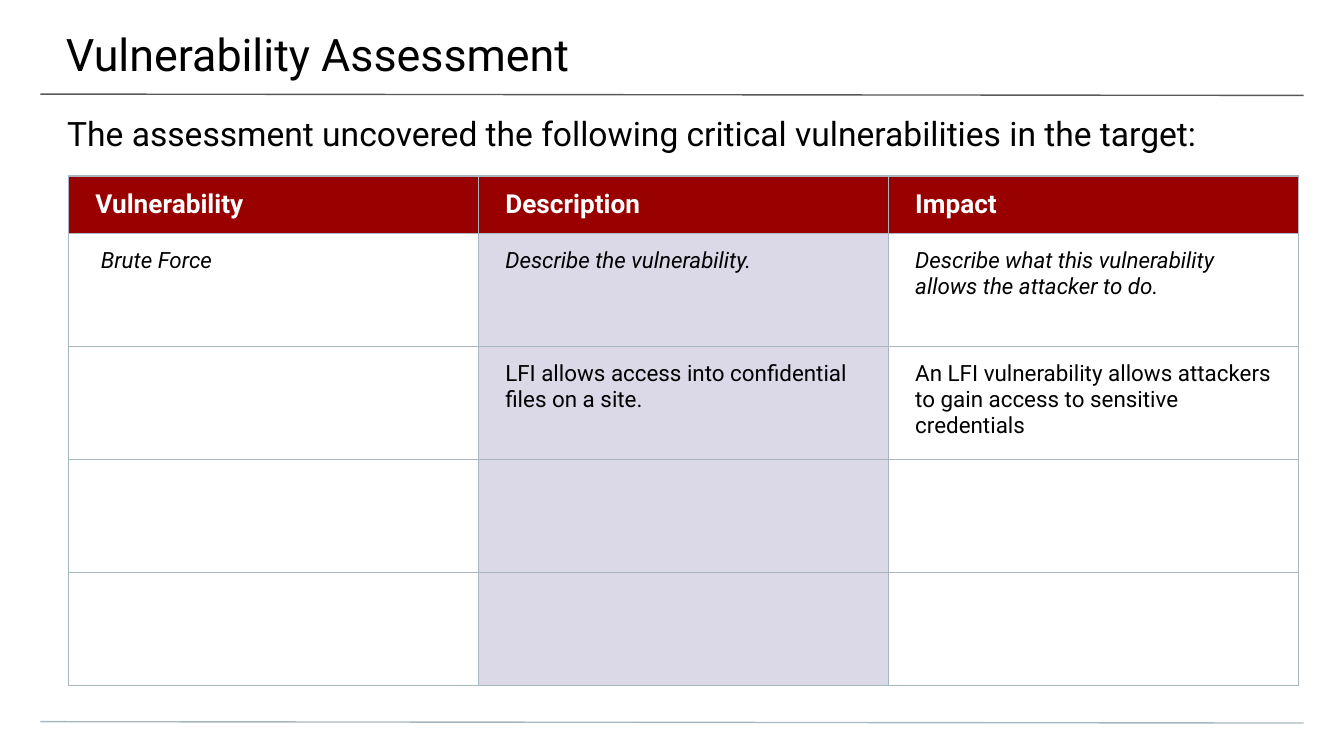
import lxml.etree
import pptx
import pptx.dml.color
import pptx.enum.shapes
import pptx.enum.text
import pptx.oxml.ns
import pptx.util
from dataclasses import dataclass


@dataclass(frozen=True)
class Theme:
    font: str = "Roboto"
    text: str = "000000"
    header_text: str = "FFFFFF"
    header_fill: str = "990000"
    column_fill: str = "DBD9E8"
    rule: str = "595959"
    border: str = "A9B7C0"
    line_width: float = 0.75
    title_size: int = 24
    subtitle_size: int = 18
    header_size: int = 14
    cell_size: int = 12


THEME = Theme()
RGB = pptx.dml.color.RGBColor.from_string
Inches, Pt, qn = pptx.util.Inches, pptx.util.Pt, pptx.oxml.ns.qn
ANCHOR = pptx.enum.text.MSO_ANCHOR


def write(tf, text, size, color=THEME.text, bold=False, italic=False):
    tf.text = text
    p = tf.paragraphs[0]
    p.alignment = pptx.enum.text.PP_ALIGN.LEFT
    p.space_before = Pt(0)
    for r in p.runs:
        r.font.name, r.font.size = THEME.font, Pt(size)
        r.font.bold, r.font.italic = bold, italic
        r.font.color.rgb = RGB(color)


def add_borders(cell):
    tc_pr = cell._tc.get_or_add_tcPr()
    for side in ("a:lnL", "a:lnR", "a:lnT", "a:lnB"):
        ln = lxml.etree.SubElement(tc_pr, qn(side), w=str(Pt(THEME.line_width)))
        fill = lxml.etree.SubElement(ln, qn("a:solidFill"))
        lxml.etree.SubElement(fill, qn("a:srgbClr"), val=THEME.border)


prs = pptx.Presentation()
prs.slide_width = Inches(10)
prs.slide_height = prs.slide_width * 9 // 16
s = prs.slides.add_slide(prs.slide_layouts[0])

# Rules under the title and at the foot
for y, color in ((0.7, THEME.rule), (5.37, THEME.border)):
    rule = s.shapes.add_connector(
        pptx.enum.shapes.MSO_CONNECTOR.STRAIGHT,
        Inches(0.3), Inches(y), Inches(9.7), Inches(y + 0.01))
    rule.line.color.rgb = RGB(color)
    rule.line.width = Pt(THEME.line_width)
    lxml.etree.SubElement(rule._element.spPr, qn("a:effectLst"))

# Title and subtitle: placeholder, box, insets, size, text
headings = (
    (s.shapes.title, (-0.01, 0, 10.03, 0.58), (0.5, 0.2, 0.3, 0.1),
     THEME.title_size, "Vulnerability Assessment"),
    (s.placeholders[1], (0, 0.74, 10, 0.4), (0.5, 0.1, 0.5, 0),
     THEME.subtitle_size,
     "The assessment uncovered the following critical vulnerabilities in the target:"),
)
for sp, box, insets, size, text in headings:
    sp.left, sp.top, sp.width, sp.height = map(Inches, box)
    tf = sp.text_frame
    tf.margin_left, tf.margin_top, tf.margin_right, tf.margin_bottom = map(Inches, insets)
    tf.auto_size = pptx.enum.text.MSO_AUTO_SIZE.NONE
    tf.vertical_anchor = ANCHOR.TOP
    tf.word_wrap = True
    write(tf, text, size)

# Vulnerability table
rows = (
    ("Vulnerability", "Description", "Impact"),
    (" Brute Force", "Describe the vulnerability.",
     "Describe what this vulnerability allows the attacker to do."),
    ("", "LFI allows access into confidential files on a site.",
     "An LFI vulnerability allows attackers to gain access to sensitive credentials"),
    ("", "", ""),
    ("", "", ""),
)
col_width, header_height, row_height = 3.05, 0.43, 0.84
table = s.shapes.add_table(
    len(rows), 3, Inches(0.51), Inches(1.31), Inches(3 * col_width),
    Inches(header_height + 4 * row_height)).table
table.first_row = table.horz_banding = False
for column in table.columns:
    column.width = Inches(col_width)

for i, texts in enumerate(rows):
    header = i == 0
    table.rows[i].height = Inches(header_height if header else row_height)
    for j, text in enumerate(texts):
        cell = table.cell(i, j)
        add_borders(cell)
        cell.margin_left = cell.margin_right = Inches(0.2)
        cell.margin_top = cell.margin_bottom = Inches(0.1)
        if header or j == 1:
            cell.fill.solid()
            cell.fill.fore_color.rgb = RGB(THEME.header_fill if header else THEME.column_fill)
        else:
            cell.fill.background()
        if header:
            cell.vertical_anchor = ANCHOR.MIDDLE
            write(cell.text_frame, text, THEME.header_size, THEME.header_text, bold=True)
        elif text:
            write(cell.text_frame, text, THEME.cell_size, italic=i == 1)

prs.save("out.pptx")
